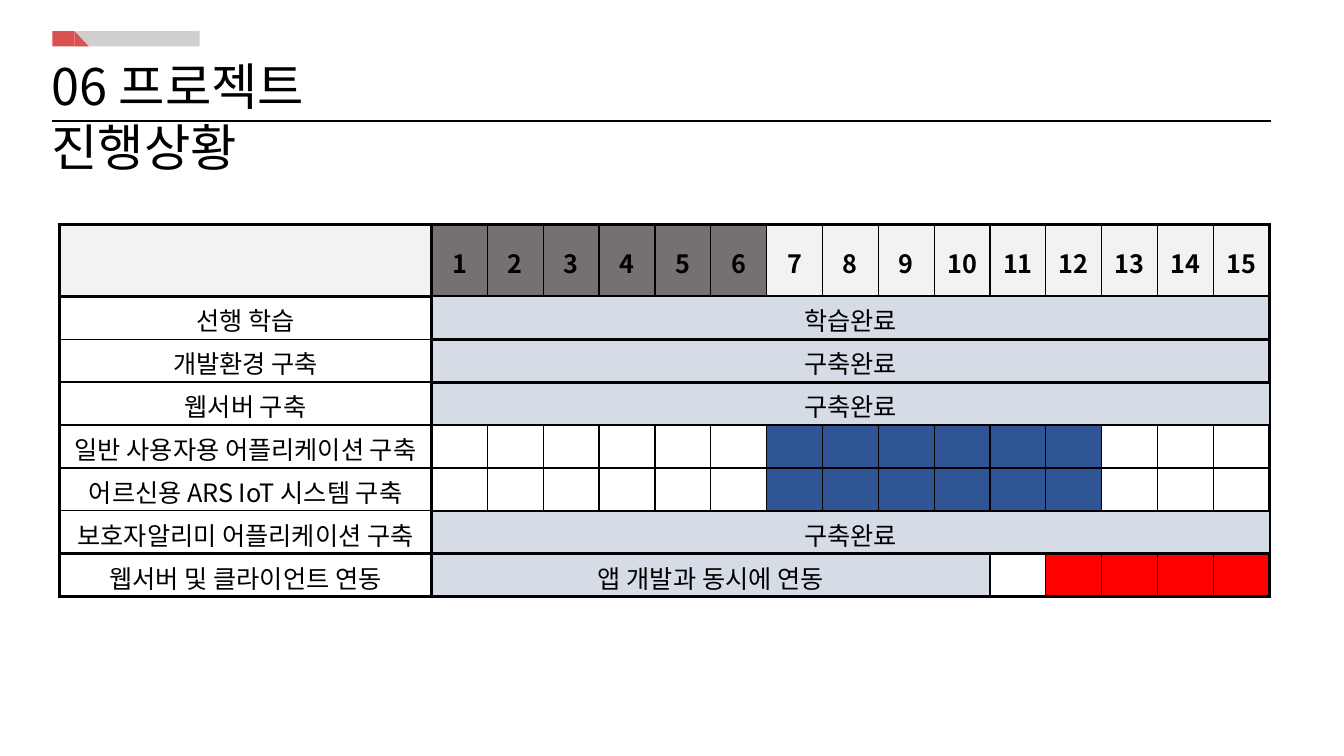
from lxml.etree import SubElement
from pptx import Presentation
from pptx.dml.color import RGBColor
from pptx.enum.shapes import MSO_CONNECTOR, MSO_SHAPE
from pptx.enum.text import MSO_ANCHOR, MSO_AUTO_SIZE, PP_ALIGN
from pptx.oxml.ns import qn
from pptx.util import Inches, Pt

FONT = "Noto Sans CJK KR"
BLACK, WHITE, RED, GRAY = "000000", "FFFFFF", "DA5151", "D0CECE"
HEADER, PAST_WEEK, PHASE, WORK, FINAL = "F2F2F2", "767171", "D6DCE5", "2F5597", "FF0000"
THIN, HEAVY = 1, 2.25
WEEKS, PAST_WEEKS = 15, 6
CHART_LEFT, CHART_TOP, CHART_WIDTH, CHART_HEIGHT = 0.59, 2.23, 12, 3.69
LABEL_WIDTH, HEADER_HEIGHT = 3.69, 0.71
TASKS = [
    "선행 학습",
    "개발환경 구축",
    "웹서버 구축",
    "일반 사용자용 어플리케이션 구축",
    "어르신용 ARS IoT 시스템 구축",
    "보호자알리미 어플리케이션 구축",
    "웹서버 및 클라이언트 연동",
]
WEEK_WIDTH = (CHART_WIDTH - LABEL_WIDTH) / WEEKS
TASK_HEIGHT = (CHART_HEIGHT - HEADER_HEIGHT) / len(TASKS)
WEEKS_LEFT = CHART_LEFT + LABEL_WIDTH
BARS = [(4, 7, 12, WORK), (5, 7, 12, WORK), (7, 12, 15, FINAL)]
PHASES = [
    (2, "구축완료", WEEKS, {1}, {0, 1}),
    (3, "구축완료", WEEKS, {0, 1}, {0}),
    (1, "학습완료", WEEKS, {1}, {0, 1}),
    (6, "구축완료", WEEKS, {0, 1}, {0}),
    (7, "앱 개발과 동시에 연동", 10, {0, 1}, {0}),
]


def color(value):
    """Turn a hex string into a colour."""
    return RGBColor.from_string(value)


def row_top(row):
    """Return the top of a task row, counted from 1."""
    return CHART_TOP + HEADER_HEIGHT + (row - 1) * TASK_HEIGHT


def format_runs(paragraph, size, bold=False):
    """Give every run of a paragraph the slide's font."""
    for run in paragraph.runs:
        run.font.name = FONT
        run.font.size = Pt(size)
        run.font.bold = bold
        run.font.color.rgb = color(BLACK)
        SubElement(run.font._element, qn("a:ea"), typeface=FONT)


def add_title(slide, text):
    """Place and format the slide title."""
    title = slide.shapes.title
    title.left, title.top = Inches(0.41), Inches(0.48)
    title.width, title.height = Inches(4.62), Inches(0.71)
    frame = title.text_frame
    frame.text = text
    frame.word_wrap = True
    frame.auto_size = MSO_AUTO_SIZE.NONE
    frame.vertical_anchor = MSO_ANCHOR.TOP
    frame.margin_top = Inches(0.07)
    paragraph = frame.paragraphs[0]
    paragraph.alignment = PP_ALIGN.LEFT
    paragraph.line_spacing = 1.0
    format_runs(paragraph, 36)


def add_block(group, kind, left, width, fill):
    """Add one filled piece of the accent strip."""
    block = group.shapes.add_shape(kind, Inches(left), Inches(0.31), Inches(width), Inches(0.15))
    block.shadow.inherit = False
    block.fill.solid()
    block.fill.fore_color.rgb = color(fill)
    block.line.fill.background()
    return block


def add_accent(slide):
    """Add the red and gray strip above the title."""
    group = slide.shapes.add_group_shape()
    add_block(group, MSO_SHAPE.RECTANGLE, 0.75, 1.23, GRAY)
    add_block(group, MSO_SHAPE.RECTANGLE, 0.52, 0.22, RED)
    slant = add_block(group, MSO_SHAPE.ISOSCELES_TRIANGLE, 0.74, 0.14, RED)
    slant.adjustments[0] = 0


def add_rule(slide):
    """Add the horizontal line under the title."""
    rule = slide.shapes.add_connector(
        MSO_CONNECTOR.STRAIGHT, Inches(0.52), Inches(1.2), Inches(12.61), Inches(1.2))
    rule.line.color.rgb = color(BLACK)
    rule.line.width = Pt(1)
    SubElement(rule._element.spPr, qn("a:effectLst"))


def set_borders(cell, row, column, heavy_rows, heavy_columns):
    """Draw the four borders of a cell, heavy on the chosen grid lines."""
    sides = {
        "a:lnL": column in heavy_columns,
        "a:lnR": column + 1 in heavy_columns,
        "a:lnT": row in heavy_rows,
        "a:lnB": row + 1 in heavy_rows,
    }
    properties = cell._tc.get_or_add_tcPr()
    for position, (tag, heavy) in enumerate(sides.items()):
        line = SubElement(properties, qn(tag), w=str(Pt(HEAVY if heavy else THIN)))
        SubElement(SubElement(line, qn("a:solidFill")), qn("a:srgbClr"), val=BLACK)
        properties.insert(position, line)


def fill_cell(cell, text, fill, bold):
    """Set the text and fill of a cell."""
    cell.fill.solid()
    cell.fill.fore_color.rgb = color(fill)
    cell.vertical_anchor = MSO_ANCHOR.MIDDLE
    cell.margin_top, cell.margin_bottom = Inches(0.05), Inches(0.01)
    cell.text_frame.text = text
    paragraph = cell.text_frame.paragraphs[0]
    paragraph.alignment = PP_ALIGN.CENTER
    paragraph.font.size = Pt(18)
    format_runs(paragraph, 18, bold)


def add_grid(slide, left, top, widths, heights, texts, fills, heavy_rows, heavy_columns, bold_header):
    """Add a bordered table from texts and fills keyed by row and column."""
    frame = slide.shapes.add_table(
        len(heights), len(widths), Inches(left), Inches(top),
        Inches(sum(widths)), Inches(sum(heights)))
    table = frame.table
    table.first_row = table.horz_banding = False
    for column, width in enumerate(widths):
        table.columns[column].width = Inches(width)
    for row, height in enumerate(heights):
        table.rows[row].height = Inches(height)
        for column in range(len(widths)):
            cell, key = table.cell(row, column), (row, column)
            fill_cell(cell, texts.get(key, ""), fills.get(key, WHITE), bold_header and row == 0)
            set_borders(cell, row, column, heavy_rows, heavy_columns)


def add_schedule(slide):
    """Add the table of tasks by week."""
    texts = {(0, week): str(week) for week in range(1, WEEKS + 1)}
    texts.update({(row, 0): task for row, task in enumerate(TASKS, 1)})
    fills = {(0, column): HEADER for column in range(WEEKS + 1)}
    for row, first, last, fill in BARS:
        fills.update({(row, week): fill for week in range(first, last + 1)})
    add_grid(slide, CHART_LEFT, CHART_TOP, [LABEL_WIDTH] + [WEEK_WIDTH] * WEEKS,
             [HEADER_HEIGHT] + [TASK_HEIGHT] * len(TASKS), texts, fills,
             {0, 1, 3, 4, 7, 8}, {0, 1, WEEKS + 1}, True)


def add_past_weeks(slide):
    """Add the dark header of the weeks already over."""
    columns = range(PAST_WEEKS)
    add_grid(slide, WEEKS_LEFT, CHART_TOP, [WEEK_WIDTH] * PAST_WEEKS, [HEADER_HEIGHT],
             {(0, column): str(column + 1) for column in columns},
             {(0, column): PAST_WEEK for column in columns}, {0, 1}, {0}, True)


def add_phase(slide, row, text, weeks, heavy_rows, heavy_columns):
    """Add the status bar of one task."""
    add_grid(slide, WEEKS_LEFT, row_top(row), [weeks * WEEK_WIDTH], [TASK_HEIGHT],
             {(0, 0): text}, {(0, 0): PHASE}, heavy_rows, heavy_columns, False)


def main():
    """Build the project progress slide."""
    presentation = Presentation()
    presentation.slide_width, presentation.slide_height = Inches(13.33), Inches(7.5)
    slide = presentation.slides.add_slide(presentation.slide_layouts[5])
    add_accent(slide)
    add_title(slide, "06 프로젝트 진행상황")
    add_rule(slide)
    add_schedule(slide)
    add_past_weeks(slide)
    for phase in PHASES:
        add_phase(slide, *phase)
    presentation.save("out.pptx")


if __name__ == "__main__":
    main()
